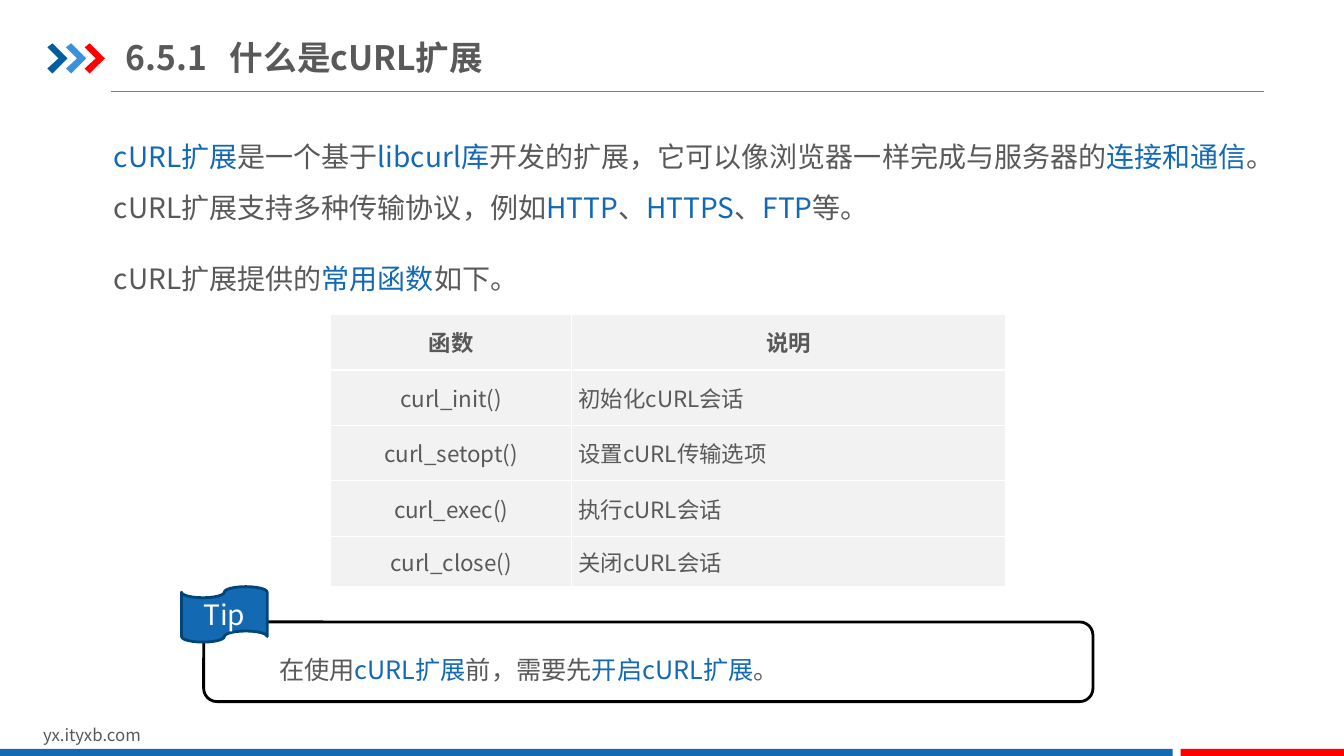
import pptx
import pptx.util
import pptx.dml.color
import pptx.enum.shapes
import pptx.enum.text
import pptx.oxml
import pptx.oxml.ns

Inches = pptx.util.Inches
Pt = pptx.util.Pt
SHAPE = pptx.enum.shapes.MSO_SHAPE
ALIGN = pptx.enum.text.PP_ALIGN
MIDDLE = pptx.enum.text.MSO_ANCHOR.MIDDLE
NS = pptx.oxml.ns.nsdecls("a")

FONT = "Noto Sans CJK SC"
GREY, ACCENT, BLUE, RED, WHITE = "595959", "1369B3", "1369B2", "FF0000", "FFFFFF"

CHEVRON = [(0, 0.04), (0.05, 0), (0.2, 0.15), (0.05, 0.3), (0, 0.25), (0.11, 0.15)]

INTRO = [("cURL扩展", ACCENT), ("是一个基于", GREY), ("libcurl库", ACCENT),
         ("开发的扩展，它可以像浏览器一样完成与服务器的", GREY), ("连接和通信", ACCENT),
         ("。cURL扩展支持多种传输协议，例如", GREY), ("HTTP", ACCENT), ("、", GREY),
         ("HTTPS", ACCENT), ("、", GREY), ("FTP", ACCENT), ("等。", GREY)]
LEAD_IN = [("cURL扩展提供的", GREY), ("常用函数", ACCENT), ("如下。", GREY)]
TIP = [("在使用", GREY), ("cURL扩展", ACCENT), ("前，需要先", GREY),
       ("开启cURL扩展", ACCENT), ("。", GREY)]
FUNCTIONS = [("函数", "说明"),
             ("curl_init()", "初始化cURL会话"),
             ("curl_setopt()", "设置cURL传输选项"),
             ("curl_exec()", "执行cURL会话"),
             ("curl_close()", "关闭cURL会话")]


def rgb(value):
    return pptx.dml.color.RGBColor.from_string(value)


def add_runs(p, runs, size, bold=False):
    """Add (text, colour) runs in the slide font, for Latin and Chinese alike."""
    for text, color in runs:
        r = p.add_run()
        r.text = text
        r.font.size = Pt(size)
        r.font.bold = bold
        r.font.color.rgb = rgb(color)
        r.font.name = FONT
        r.font._element.append(pptx.oxml.parse_xml(f'<a:ea {NS} typeface="{FONT}"/>'))


def add_text(slide, box, paragraphs, size, bold=False, spacing=None, gap=0, insets=(0.1, 0.05)):
    tf = slide.shapes.add_textbox(*map(Inches, box)).text_frame
    tf.word_wrap = True
    tf.margin_left = tf.margin_right = Inches(insets[0])
    tf.margin_top = tf.margin_bottom = Inches(insets[1])
    for i, runs in enumerate(paragraphs):
        p = tf.add_paragraph() if i else tf.paragraphs[0]
        if spacing:
            p.line_spacing = spacing
        if i:
            p.space_before = Pt(gap)
        add_runs(p, runs, size, bold)
    return tf


def paint(sp, fill=None, line=None, width=2):
    sp.shadow.inherit = False
    if fill:
        sp.fill.solid()
        sp.fill.fore_color.rgb = rgb(fill)
    else:
        sp.fill.background()
    if line:
        sp.line.color.rgb = rgb(line)
        sp.line.width = Pt(width)
    else:
        sp.line.fill.background()


def add_shape(slide, kind, box, **style):
    sp = slide.shapes.add_shape(kind, *map(Inches, box))
    paint(sp, **style)
    return sp


def add_chevron(slide, left, top, color):
    points = [(Inches(left + x), Inches(top + y)) for x, y in CHEVRON]
    builder = slide.shapes.build_freeform(*points[0])
    builder.add_line_segments(points[1:], close=True)
    paint(builder.convert_to_shape(), fill=color)


def add_rule(slide, left, right, y):
    line = slide.shapes.add_connector(pptx.enum.shapes.MSO_CONNECTOR.STRAIGHT,
                                      Inches(left), Inches(y), Inches(right), Inches(y))
    line.line.color.rgb = rgb("808080")
    line.line.width = Pt(0.75)
    line._element.spPr.append(pptx.oxml.parse_xml(f"<a:effectLst {NS}/>"))


def add_borders(cell):
    tc_pr = cell._tc.get_or_add_tcPr()
    for side in "LRTB":
        tc_pr.append(pptx.oxml.parse_xml(
            f'<a:ln{side} {NS} w="{Pt(1)}"><a:solidFill><a:srgbClr val="{WHITE}"/>'
            f"</a:solidFill></a:ln{side}>"))


def add_function_table(slide, left, top, widths, heights):
    table = slide.shapes.add_table(
        len(heights), len(widths), Inches(left), Inches(top),
        Inches(sum(widths)), Inches(sum(heights))).table
    table.first_row = table.horz_banding = False
    for column, width in zip(table.columns, widths):
        column.width = Inches(width)
    for i, (row, height) in enumerate(zip(table.rows, heights)):
        row.height = Inches(height)
        for j, cell in enumerate(row.cells):
            cell.vertical_anchor = MIDDLE
            cell.margin_left = cell.margin_right = Inches(0.07)
            cell.margin_top = cell.margin_bottom = 0
            add_borders(cell)
            cell.fill.solid()
            cell.fill.fore_color.rgb = rgb("F2F2F2")
            p = cell.text_frame.paragraphs[0]
            p.alignment = ALIGN.JUSTIFY if i and j else ALIGN.CENTER
            add_runs(p, [(FUNCTIONS[i][j], GREY)], 16, bold=i == 0)


def add_title(slide, number, title):
    tf = add_text(slide, (1.25, 0.29, 4.26, 0.55), [], 24, insets=(0, 0.07))
    tf.vertical_anchor = MIDDLE
    p = tf.paragraphs[0]
    p._p.get_or_add_pPr().append(pptx.oxml.parse_xml(
        f'<a:tabLst {NS}><a:tab pos="{Inches(1.03)}" algn="l"/></a:tabLst>'))
    add_runs(p, [(f"{number}\t{title}", GREY)], 24, bold=True)


def add_tip(slide):
    add_text(slide, (2.67, 6.29, 5.58, 0.56), [TIP], 18, spacing=1.5)
    add_shape(slide, SHAPE.ROUNDED_RECTANGLE, (2.02, 6.17, 8.82, 0.79), line="000000")
    flag = add_shape(slide, SHAPE.FLOWCHART_PUNCHED_TAPE, (1.8, 5.82, 0.85, 0.55),
                     fill=BLUE, line="004578")
    flag.text_frame.vertical_anchor = MIDDLE
    p = flag.text_frame.paragraphs[0]
    p.alignment = ALIGN.CENTER
    add_runs(p, [("Tip", WHITE)], 20)


def main():
    prs = pptx.Presentation()
    prs.slide_width, prs.slide_height = Inches(13.33), Inches(7.5)
    slide = prs.slides.add_slide(prs.slide_layouts[6])

    add_rule(slide, 1.1, 12.54, 0.91)
    for i, color in enumerate(("005DA2", "3992DB", RED)):
        add_chevron(slide, 0.47 + 0.185 * i, 0.43, color)
    add_text(slide, (0.33, 7.14, 3.18, 0.3), [[("yx.ityxb.com", GREY)]], 12)
    add_shape(slide, SHAPE.RECTANGLE, (0, 7.43, 11.63, 0.09), fill=BLUE)
    add_shape(slide, SHAPE.RECTANGLE, (11.71, 7.43, 1.63, 0.09), fill=RED)

    add_text(slide, (1, 1.15, 11.81, 1.88), [INTRO, LEAD_IN], 20,
             spacing=1.5, gap=15, insets=(0.13, 0.07))
    add_title(slide, "6.5.1", "什么是cURL扩展")
    add_function_table(slide, 3.28, 3.12, [2.39, 4.3], [0.55] * 4 + [0.5])
    add_tip(slide)
    prs.save("out.pptx")


if __name__ == "__main__":
    main()
